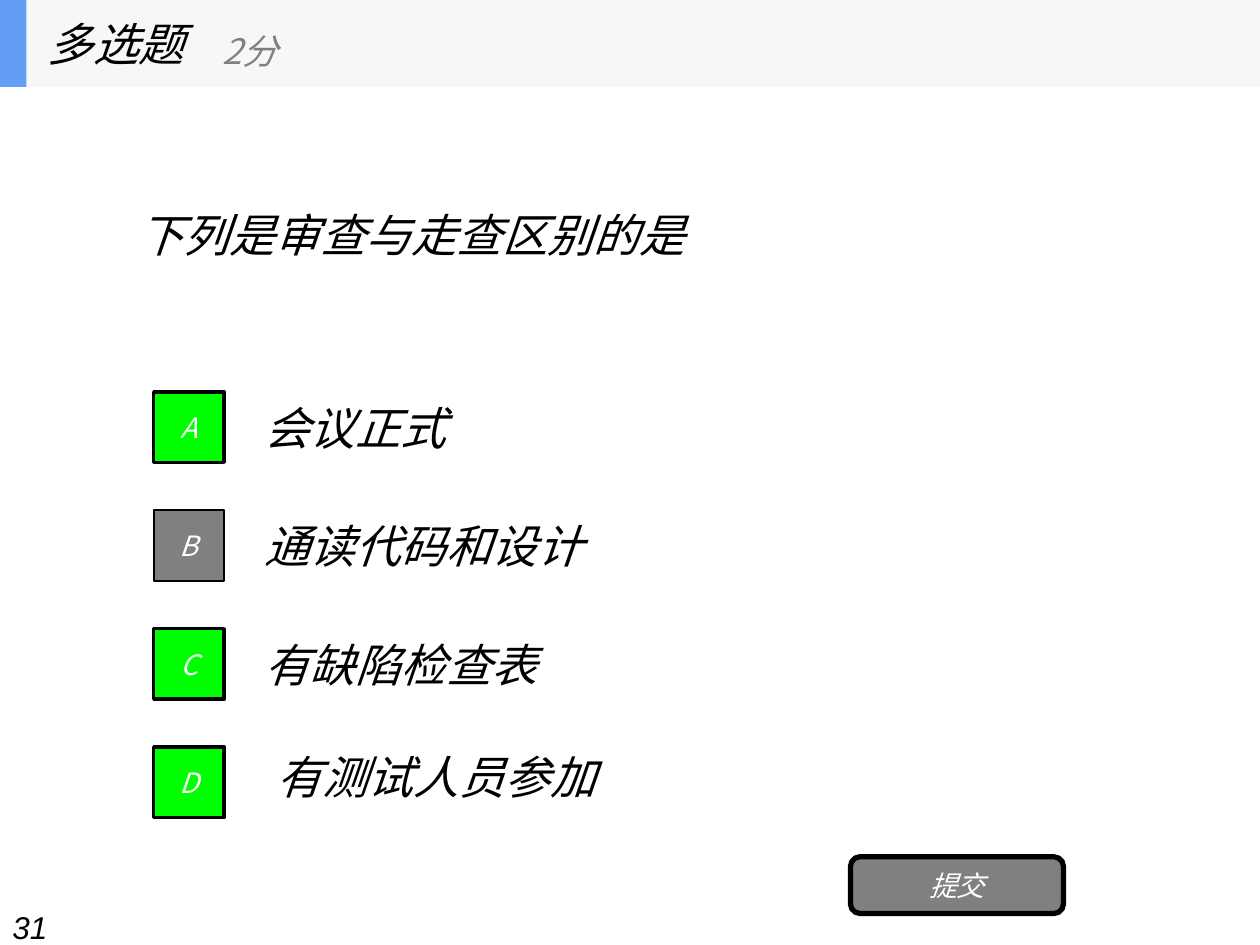
from dataclasses import dataclass
from typing import Any

from lxml import etree
from pptx import Presentation
from pptx import util as u
from pptx.dml import color
from pptx.enum import shapes, text
from pptx.oxml import ns

CJK = "Noto Sans CJK SC"
BLACK, WHITE, GRAY, GREEN = "000000", "FFFFFF", "808080", "00FF00"
RECT = shapes.MSO_SHAPE.RECTANGLE
ROUND = shapes.MSO_SHAPE.ROUNDED_RECTANGLE


@dataclass
class Box:
    left: float
    top: float
    width: float
    height: float

    def place(self) -> tuple:
        return tuple(map(u.Inches, (self.left, self.top, self.width, self.height)))


@dataclass
class Choice:
    mark: str
    words: str
    right: bool
    dx: float = 0
    dy: float = 0


CHOICES = [
    Choice("A", "会议正式", True),
    Choice("B", "通读代码和设计", False),
    Choice("C", "有缺陷检查表", True),
    Choice("D", "有测试人员参加", True, 0.1, -0.05),
]


def paint(target: Any, shade: str) -> None:
    target.solid()
    target.fore_color.rgb = color.RGBColor.from_string(shade)


def write(shape: Any, words: str, size: int, shade: str = BLACK,
          face: str = CJK, center: bool = False, wrap: bool = True,
          middle: bool = True) -> None:
    frame = shape.text_frame
    frame.word_wrap = wrap
    frame.vertical_anchor = text.MSO_ANCHOR.MIDDLE if middle else text.MSO_ANCHOR.TOP
    para = frame.paragraphs[0]
    para.text = words
    para.alignment = text.PP_ALIGN.CENTER if center else text.PP_ALIGN.LEFT
    font = para.font
    font.size, font.italic, font.name = u.Pt(size), True, face
    paint(font.fill, shade)
    props = para._p.pPr.find(ns.qn("a:defRPr"))
    etree.SubElement(props, ns.qn("a:ea")).set("typeface", face)


def label(tree: Any, box: Box, words: str, size: int, **style: Any) -> None:
    write(tree.add_textbox(*box.place()), words, size, **style)


def block(tree: Any, box: Box, shade: str, line: int = 0, kind: Any = RECT) -> Any:
    shape = tree.add_shape(kind, *box.place())
    shape.shadow.inherit = False
    paint(shape.fill, shade)
    if line:
        paint(shape.line.fill, BLACK)
        shape.line.width = u.Pt(line)
    else:
        shape.line.fill.background()
    return shape


def button(tree: Any, box: Box, words: str, shade: str, line: int,
           kind: Any = RECT) -> None:
    write(block(tree, box, shade, line, kind), words, 16, shade=WHITE, center=True)


def header(tree: Any) -> None:
    block(tree, Box(0, 0, 10, 0.69), "F6F7F8")
    block(tree, Box(0, 0, 0.21, 0.69), "639EF4")
    label(tree, Box(0.28, 0, 2.08, 0.69), "多选题", 26, wrap=False)
    label(tree, Box(1.67, 0.12, 2.5, 0.56), "2分", 20, shade=GRAY, wrap=False)


def main() -> None:
    deck = Presentation()
    deck.slide_width, deck.slide_height = u.Inches(10), u.Inches(7.5)
    tree = deck.slides.add_slide(deck.slide_layouts[6]).shapes

    label(tree, Box(0, 7.16, 10, 0.29), "31", 18, face="Arial", middle=False)
    label(tree, Box(1, 0.69, 8, 2.34), "下列是审查与走查区别的是", 26)
    for row, item in enumerate(CHOICES):
        top = 3.11 + 0.94 * row
        label(tree, Box(2 + item.dx, top - 0.07 + item.dy, 7, 0.7), item.words, 26)
        shade, line = (GREEN, 2) if item.right else (GRAY, 1)
        button(tree, Box(1.22, top, 0.56, 0.56), item.mark, shade, line)
    button(tree, Box(6.75, 6.8, 1.69, 0.45), "提交", GRAY, 3, ROUND)
    header(tree.add_group_shape().shapes)

    deck.save("out.pptx")


if __name__ == "__main__":
    main()
